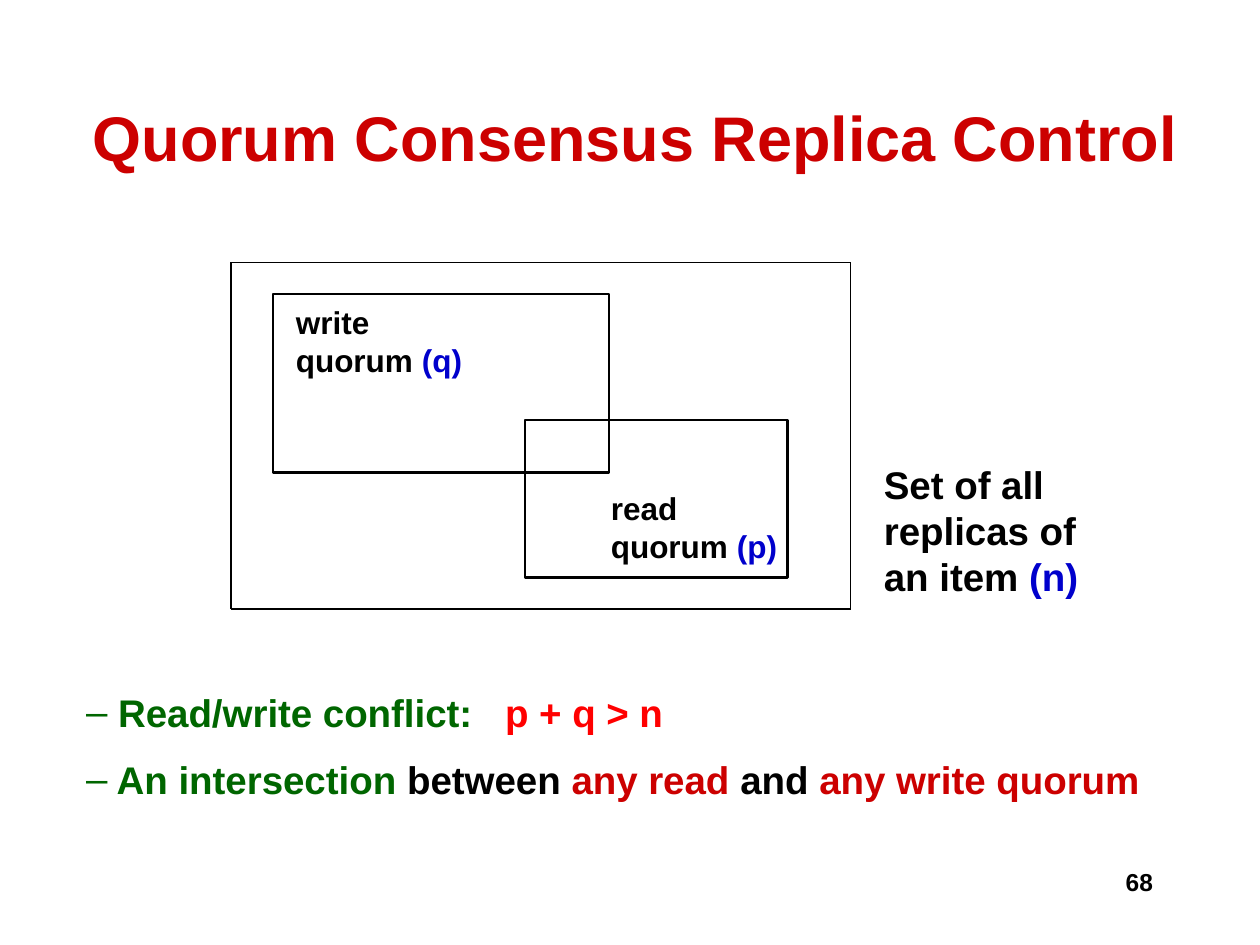
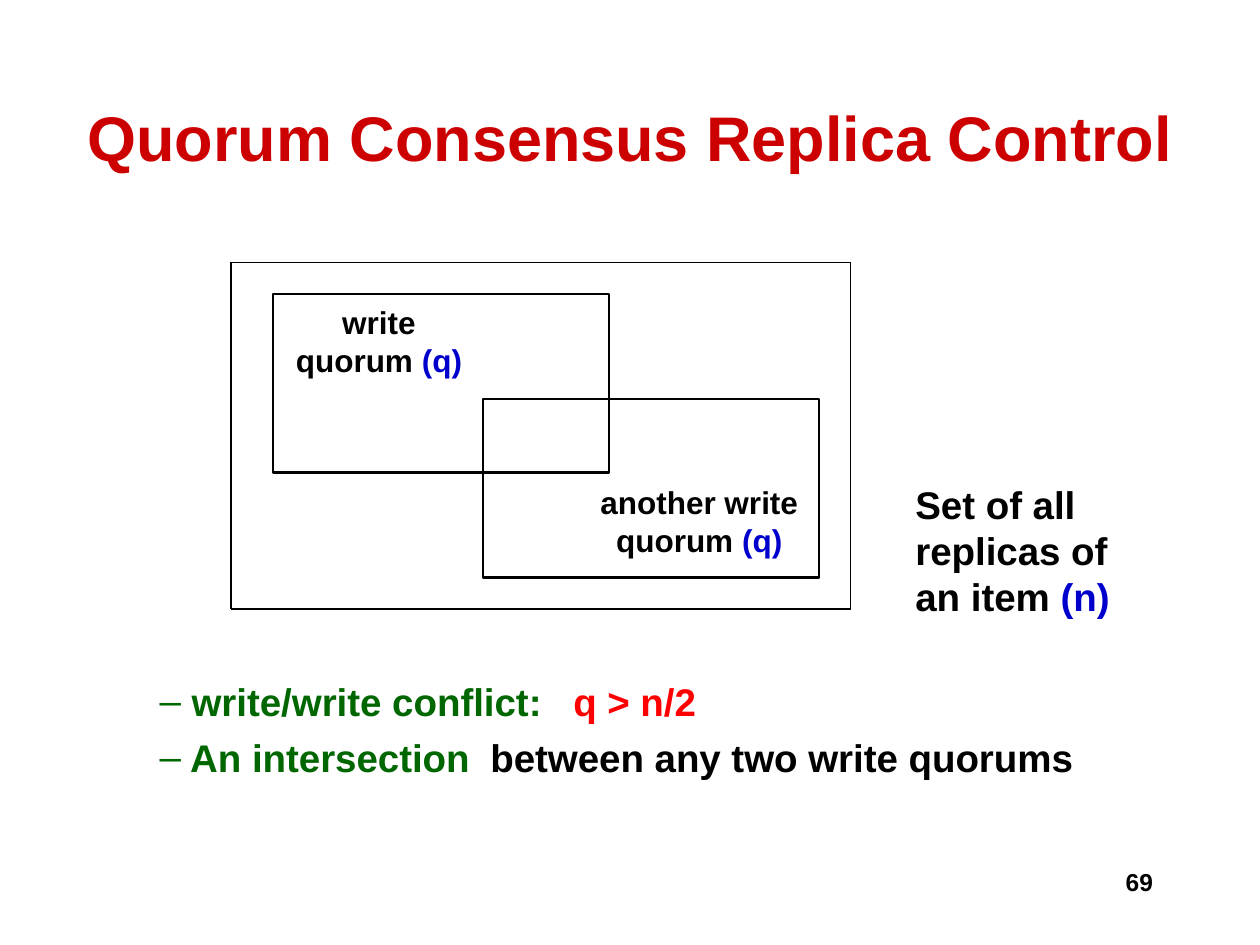
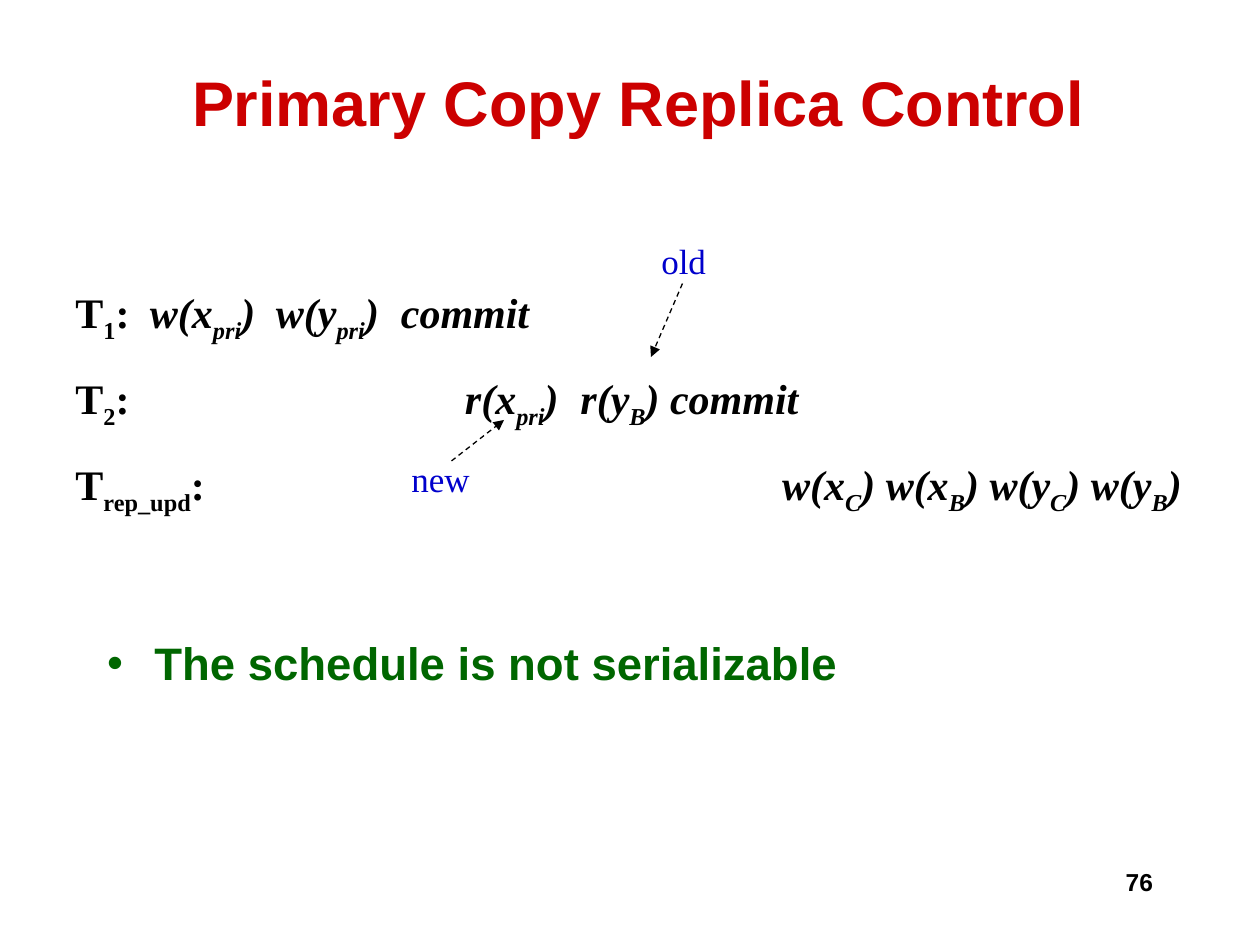
from lxml import etree
from pptx import Presentation
from pptx.dml.color import RGBColor
from pptx.enum.dml import MSO_LINE
from pptx.enum.shapes import MSO_CONNECTOR, MSO_SHAPE
from pptx.enum.text import MSO_ANCHOR, MSO_AUTO_SIZE, PP_ALIGN
from pptx.oxml.ns import qn
from pptx.util import Pt

PX = 7620  # EMU in one px, 120 px to the inch
LEFT, MID, RIGHT = PP_ALIGN.LEFT, PP_ALIGN.CENTER, PP_ALIGN.RIGHT
MIDDLE = MSO_ANCHOR.MIDDLE
FIT, FIXED = MSO_AUTO_SIZE.SHAPE_TO_FIT_TEXT, MSO_AUTO_SIZE.NONE
LINE, RECT = MSO_CONNECTOR.STRAIGHT, MSO_SHAPE.RECTANGLE
DASH = MSO_LINE.DASH

HUES = {"black": "000000", "title": "CC0000", "red": "FF0000",
        "green": "006600", "blue": "0000CC"}
SANS, SERIF = "Arial", "Times New Roman"


def add(node, tag, **attrs):
    return etree.SubElement(node, qn(tag), {k: str(v) for k, v in attrs.items()})


def hue(name):
    return RGBColor.from_string(HUES[name])


class Deck:
    """Holds the shared style and the slide being filled."""

    def __init__(self):
        self.prs = Presentation()
        self.prs.slide_width, self.prs.slide_height = 1200 * PX, 900 * PX
        self.slide = None

    def start(self, title, box, number):
        """Open a slide with its title and page number."""
        self.slide = self.prs.slides.add_slide(self.prs.slide_layouts[1])
        frame = self.place(self.slide.shapes.title, box)
        frame.vertical_anchor = MIDDLE
        para = frame.paragraphs[0]
        para.alignment = MID
        self.run(para, title, "title", 36)
        self.text((860, 820, 250, 60), [[(number, "black")]], 14, RIGHT, wrap=True)

    def place(self, shape, box):
        """Move a placeholder and return its text frame."""
        shape.left, shape.top, shape.width, shape.height = (v * PX for v in box)
        frame = shape.text_frame
        frame.word_wrap, frame.auto_size = True, FIXED
        return frame

    def run(self, para, text, color, size, face=SANS, bold=True, italic=False, sub=False):
        run = para.add_run()
        run.text = text
        font = run.font
        font.name, font.size = face, Pt(size)
        font.bold, font.italic = bold, italic
        font.color.rgb = hue(color)
        if sub:
            run._r.get_or_add_rPr().set("baseline", "-25000")

    def paras(self, frame, count):
        """Yield the wanted number of paragraphs, starting with the first."""
        for i in range(count):
            yield frame.add_paragraph() if i else frame.paragraphs[0]

    def tabs(self, para, stops):
        node = add(para._p.get_or_add_pPr(), "a:tabLst")
        for stop in stops:
            add(node, "a:tab", pos=stop * PX, algn="l")

    def frame(self, box, wrap=False):
        frame = self.slide.shapes.add_textbox(*(v * PX for v in box)).text_frame
        frame.word_wrap = wrap
        frame.auto_size = FIXED if wrap else FIT
        return frame

    def text(self, box, rows, size, align=LEFT, face=SANS, bold=True, wrap=False):
        frame = self.frame(box, wrap)
        for para, row in zip(self.paras(frame, len(rows)), rows):
            para.alignment = align
            for words, color in row:
                self.run(para, words, color, size, face, bold)

    def items(self, box, mark, rows, size, gap=0, hang=0):
        """Fill the body; each row is its runs and its tab stops."""
        frame = self.place(self.slide.placeholders[1], box)
        for i, para in enumerate(self.paras(frame, len(rows))):
            runs, stops = rows[i]
            props = para._p.get_or_add_pPr()
            props.set("marL", str(hang * PX))
            props.set("indent", str(-hang * PX))
            add(props, "a:buChar", char=mark)
            if stops:
                self.tabs(para, stops)
            para.space_before = Pt(gap if i else 0)
            for words, color in runs:
                self.run(para, words, color, size)

    def steps(self, box, rows):
        """Write each row as name, formula, tab stops; odd parts are subscripts."""
        frame = self.frame(box, wrap=True)
        for para, (name, terms, stops) in zip(self.paras(frame, len(rows)), rows):
            self.tabs(para, stops)
            para.line_spacing = 1.5
            for parts, slant in ((name, False), (terms, True)):
                for i, part in enumerate(parts):
                    self.run(para, part, "black", 24, SERIF, italic=slant, sub=i % 2 == 1)

    def rect(self, box):
        shape = self.slide.shapes.add_shape(RECT, *(v * PX for v in box))
        shape.shadow.inherit = False
        shape.fill.background()
        shape.line.color.rgb = hue("black")
        shape.line.width = Pt(1.5)

    def line(self, *ends, arrow=False):
        link = self.slide.shapes.add_connector(LINE, *(v * PX for v in ends))
        link.line.color.rgb = hue("black")
        link.line.width = Pt(0.75)
        if arrow:
            link.line.dash_style = DASH
            add(link.line._get_or_add_ln(), "a:tailEnd", type="triangle")
        add(link._element.spPr, "a:effectLst")

    def item_set(self, x, y):
        """Draw the frame of all replicas, with its label at x, y."""
        left, top, right, low = 220, 250, 810, 580
        for side in (left, right):
            self.line(side, top, side, low)
        for edge in (top, low):
            self.line(left, edge, right, edge)
        self.text((x, y, 210, 144), [[("Set of all", "black")], [("replicas of", "black")],
                                     [("an item ", "black"), ("(n)", "blue")]], 22)

    def quorum(self, kind, sign, label, box, align=LEFT):
        self.text(label, [[(kind, "black")], [("quorum ", "black"), (sign, "blue")]], 18, align)
        self.rect(box)

    def note(self, word, box, ends):
        """Write a word with a dashed arrow to what it tells about."""
        self.text(box, [[(word, "blue")]], 20, face=SERIF, bold=False)
        self.line(*ends, arrow=True)


def main():
    deck = Deck()
    title = "Quorum Consensus Replica Control"
    label, area = (270, 283, 182, 84), (260, 280, 320, 170)

    deck.start(title, (70, 70, 1070, 120), "68")
    deck.item_set(830, 433)
    deck.items((70, 650, 1060, 122), "–", [
        ([(" Read/write conflict:\t", "green"), ("p + q > n", "red")], [399]),
        ([(" An intersection", "green"), (" between ", "black"), ("any read", "title"),
          (" and ", "black"), ("any write quorum", "title")], []),
    ], 22, gap=12)
    deck.quorum("write", "(q)", label, area)
    deck.quorum("read", "(p)", (570, 460, 182, 84), (500, 400, 250, 150))

    deck.start(title, (70, 70, 1060, 120), "69")
    deck.item_set(860, 452)
    deck.items((140, 640, 910, 109), "–", [
        ([(" write/write conflict:\t", "green"), ("q > n/2", "red")], [394]),
        ([(" An intersection\t", "green"), ("between any two write quorums", "black")], [315]),
    ], 22, gap=5.5)
    deck.quorum("write", "(q)", label, area, MID)
    deck.quorum("another write", "(q)", (554, 454, 224, 84), (460, 380, 320, 170), MID)

    deck.start("Primary Copy Replica Control", (98, 40, 1020, 113), "76")
    deck.items((90, 599, 810, 130), "•",
               [([("The schedule is not serializable", "green")], [])], 26, hang=45)
    deck.steps((60, 240, 1096, 228), [
        (["T", "1", ":\t"], ["w(x", "pri", ")\tw(y", "pri", ")\tcommit"], [71, 191, 310]),
        (["T", "2", ":\t"], ["r(x", "pri", ")\tr(y", "B", ") commit"], [371, 481]),
        (["T", "rep_upd", ":\t"],
         ["w(x", "C", ") w(x", "B", ") w(y", "C", ") w(y", "B", ")"], [673]),
    ])
    deck.note("new", (380, 430, 80, 52), (430, 439, 480, 400))
    deck.note("old", (618, 222, 67, 52), (650, 270, 620, 340))

    deck.prs.save("out.pptx")


if __name__ == "__main__":
    main()
